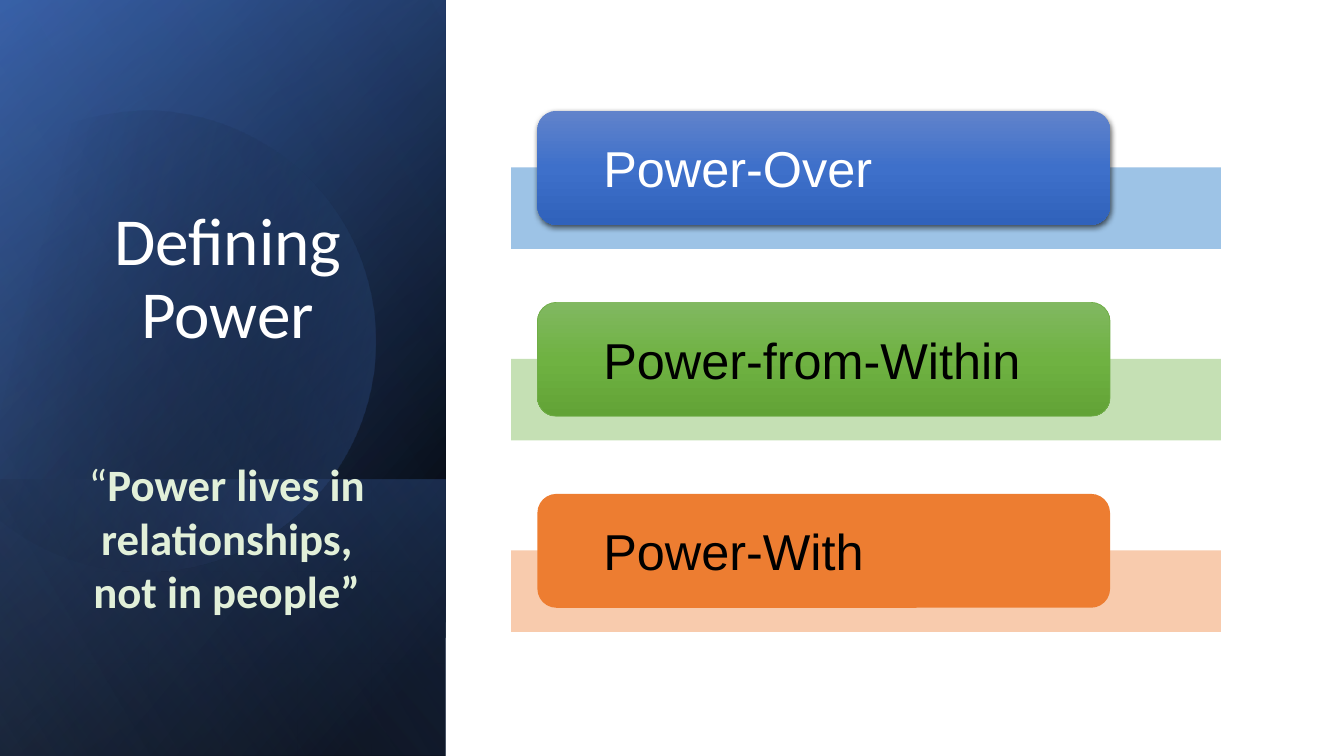
"""Build the "Defining Power" slide."""
from dataclasses import dataclass
from typing import Optional
import pptx
import pptx.dml.color
import pptx.enum.shapes
import pptx.enum.text
import pptx.oxml
import pptx.oxml.ns
import pptx.util

Inches = pptx.util.Inches
RGBColor = pptx.dml.color.RGBColor
Shapes = pptx.enum.shapes.MSO_SHAPE
Align = pptx.enum.text.PP_ALIGN
Anchor = pptx.enum.text.MSO_ANCHOR
AutoSize = pptx.enum.text.MSO_AUTO_SIZE
NAMESPACE = pptx.oxml.ns.nsdecls("a")

BLACK = RGBColor(0x00, 0x00, 0x00)
WHITE = RGBColor(0xFF, 0xFF, 0xFF)
NAVY = RGBColor(0x2F, 0x55, 0x97)
BLUE = RGBColor(0x44, 0x72, 0xC4)
SOFT_BLUE = RGBColor(0x8F, 0xAA, 0xDC)
PALE_BLUE = RGBColor(0x9D, 0xC3, 0xE6)
BLUE_TOP = RGBColor(0x61, 0x83, 0xCB)
BLUE_MIDDLE = RGBColor(0x3E, 0x70, 0xCA)
BLUE_BOTTOM = RGBColor(0x30, 0x62, 0xBB)
MINT = RGBColor(0xE2, 0xF0, 0xD9)
PALE_GREEN = RGBColor(0xC5, 0xE0, 0xB4)
GREEN = RGBColor(0x70, 0xAD, 0x47)
GREEN_TOP = RGBColor(0x81, 0xB8, 0x61)
GREEN_MIDDLE = RGBColor(0x6F, 0xB2, 0x42)
GREEN_BOTTOM = RGBColor(0x62, 0xA3, 0x36)
ORANGE = RGBColor(0xED, 0x7D, 0x31)
PALE_ORANGE = RGBColor(0xF8, 0xCB, 0xAD)

SLIDE_HEIGHT = 7.5
PANEL_WIDTH = 4.42
ROW_PITCH = 1.9


@dataclass(frozen=True)
class Stop:
    position: int
    color: RGBColor
    opacity: int = 100


@dataclass(frozen=True)
class Panel:
    top: float
    angle: int
    stops: tuple[Stop, ...]


@dataclass(frozen=True)
class PowerKind:
    label: str
    band: RGBColor
    stops: tuple[Stop, ...]
    ink: RGBColor = BLACK
    outline: Optional[RGBColor] = None
    shadowed: bool = False


PANELS = (
    Panel(0, 50, (Stop(8, BLACK), Stop(100, NAVY))),
    Panel(0, 30, (Stop(0, BLACK, 0), Stop(99, BLUE, 46))),
    Panel(4.76, 130, (Stop(2, BLUE, 29), Stop(100, BLACK, 30))),
)
SHEEN = Panel(0, 120, (Stop(0, BLACK, 0), Stop(99, SOFT_BLUE, 11)))
DISC_STOPS = (Stop(29, BLACK, 0), Stop(100, BLUE, 43))
DISC_BOX = (-0.55, 1.06, 4.27, 4.57)
DISC_START = (2.67, 0.1)
DISC_SEGMENTS = (
    ((3.59, 0.39), (4.27, 1.26), (4.27, 2.28)),
    ((4.27, 3.55), (3.25, 4.57), (1.98, 4.57)),
    ((1.19, 4.57), (0.5, 4.17), (0.09, 3.56)),
    ((0, 3.42),),
    ((0.91, 0.27),),
    ((1.09, 0.18),),
    ((1.37, 0.06), (1.67, 0), (1.98, 0)),
    ((2.22, 0), (2.45, 0.04), DISC_START),
)
POWER_KINDS = (
    PowerKind("Power-Over", PALE_BLUE,
              (Stop(0, BLUE_TOP), Stop(50, BLUE_MIDDLE), Stop(100, BLUE_BOTTOM)),
              ink=WHITE, shadowed=True),
    PowerKind("Power-from-Within", PALE_GREEN,
              (Stop(0, GREEN_TOP), Stop(50, GREEN_MIDDLE), Stop(100, GREEN_BOTTOM)),
              outline=GREEN),
    PowerKind("Power-With", PALE_ORANGE, (Stop(0, ORANGE),)),
)


def paint(shape, stops: tuple[Stop, ...], angle: int = 90) -> None:
    shape.shadow.inherit = False
    shape.line.fill.background()
    if len(stops) == 1:
        shape.fill.solid()
        shape.fill.fore_color.rgb = stops[0].color
        return
    shape.fill.gradient()
    shape.fill.gradient_angle = 360 - angle
    stop_list = shape._element.spPr.find(".//" + pptx.oxml.ns.qn("a:gsLst"))
    for default_stop in list(stop_list):
        stop_list.remove(default_stop)
    for stop in stops:
        stop_list.append(pptx.oxml.parse_xml(
            f'<a:gs {NAMESPACE} pos="{stop.position * 1000}"><a:srgbClr val="{stop.color}">'
            f'<a:alpha val="{stop.opacity * 1000}"/></a:srgbClr></a:gs>'))


def cast_shadow(shape) -> None:
    shape._element.spPr.find(pptx.oxml.ns.qn("a:effectLst")).append(pptx.oxml.parse_xml(
        f'<a:outerShdw {NAMESPACE} blurRad="57150" dist="19050" dir="5400000" algn="ctr" '
        'rotWithShape="0"><a:srgbClr val="000000"><a:alpha val="63000"/></a:srgbClr></a:outerShdw>'))


def write(paragraph, text: str, *, size: int, color: RGBColor, face: str = "Calibri",
          bold: bool = False, align: Align = Align.CENTER) -> None:
    paragraph.alignment = align
    run = paragraph.add_run()
    run.text = text
    run.font.size = pptx.util.Pt(size)
    run.font.name = face
    run.font.bold = bold
    run.font.color.rgb = color


def set_frame(frame, anchor: Anchor, top: float = 0.1, bottom: float = 0.1) -> None:
    frame.word_wrap = True
    frame.vertical_anchor = anchor
    frame.margin_left = frame.margin_right = Inches(0.1)
    frame.margin_top, frame.margin_bottom = Inches(top), Inches(bottom)


def draw_panel(shapes, panel: Panel) -> None:
    length = SLIDE_HEIGHT - panel.top
    box = ((PANEL_WIDTH - length) / 2, panel.top + (length - PANEL_WIDTH) / 2, length, PANEL_WIDTH)
    backdrop = shapes.add_shape(Shapes.RECTANGLE, *map(Inches, box))
    backdrop._element.spPr.xfrm.set("flipH", "1")
    backdrop.rotation = 90
    paint(backdrop, panel.stops, panel.angle)


def draw_disc(shapes) -> None:
    builder = shapes.build_freeform(*map(Inches, DISC_START))
    builder.add_line_segments([tuple(map(Inches, segment[-1])) for segment in DISC_SEGMENTS])
    disc = builder.convert_to_shape()
    disc.left, disc.top, disc.width, disc.height = map(Inches, DISC_BOX)
    outline = disc._element.spPr.find(".//" + pptx.oxml.ns.qn("a:path"))
    outline.set("w", str(disc.width))
    outline.set("h", str(disc.height))
    for child in list(outline):
        outline.remove(child)
    steps = [("moveTo", (DISC_START,))]
    steps += [("cubicBezTo" if len(segment) == 3 else "lnTo", segment) for segment in DISC_SEGMENTS]
    for tag, points in steps + [("close", ())]:
        marks = "".join(f'<a:pt x="{Inches(x)}" y="{Inches(y)}"/>' for x, y in points)
        outline.append(pptx.oxml.parse_xml(f"<a:{tag} {NAMESPACE}>{marks}</a:{tag}>"))
    disc.rotation = 343.9
    paint(disc, DISC_STOPS, 30)


def draw_power(shapes, kind: PowerKind, offset: float) -> None:
    band = shapes.add_shape(Shapes.RECTANGLE, *map(Inches, (5.07, 1.66 + offset, 7.04, 0.81)))
    paint(band, (Stop(0, kind.band),))
    card = shapes.add_shape(Shapes.ROUNDED_RECTANGLE, *map(Inches, (5.33, 1.1 + offset, 5.68, 1.13)))
    paint(card, kind.stops)
    if kind.outline is not None:
        card.line.color.rgb = kind.outline
        card.line.width = pptx.util.Pt(0.5)
    if kind.shadowed:
        cast_shadow(card)
    set_frame(card.text_frame, Anchor.MIDDLE)
    label = card.text_frame.paragraphs[0]
    label.level = 1
    label._p.get_or_add_pPr().set("marL", str(Inches(0.5)))
    label._p.get_or_add_pPr().set("indent", "0")
    write(label, kind.label, size=36, color=kind.ink, face="Arial", align=Align.LEFT)


def main() -> None:
    deck = pptx.Presentation()
    deck.slide_width, deck.slide_height = Inches(13.33), Inches(SLIDE_HEIGHT)
    slide = deck.slides.add_slide(deck.slide_layouts[5])
    for panel in PANELS:
        draw_panel(slide.shapes, panel)
    draw_disc(slide.shapes)
    draw_panel(slide.shapes, SHEEN)
    heading = slide.shapes.title
    slide.shapes._spTree.append(heading._element)
    heading.left, heading.top, heading.width, heading.height = map(Inches, (0.51, 0.64, 3.5, 3.7))
    set_frame(heading.text_frame, Anchor.BOTTOM, top=0.05, bottom=0.84)
    heading.text_frame.auto_size = AutoSize.NONE
    heading.text_frame.paragraphs[0].line_spacing = 0.9
    write(heading.text_frame.paragraphs[0], "Defining Power", size=48, color=WHITE)
    quote = slide.shapes.add_textbox(*map(Inches, (0.65, 4.43, 3.2, 1.82)))
    set_frame(quote.text_frame, Anchor.TOP)
    quote.text_frame.auto_size = AutoSize.SHAPE_TO_FIT_TEXT
    for text, bold in (("“", False), ("Power lives in relationships, not in people”", True)):
        write(quote.text_frame.paragraphs[0], text, size=32, color=MINT, bold=bold)
    for row, kind in enumerate(POWER_KINDS):
        draw_power(slide.shapes.add_group_shape().shapes, kind, row * ROW_PITCH)
    deck.save("out.pptx")


if __name__ == "__main__":
    main()
